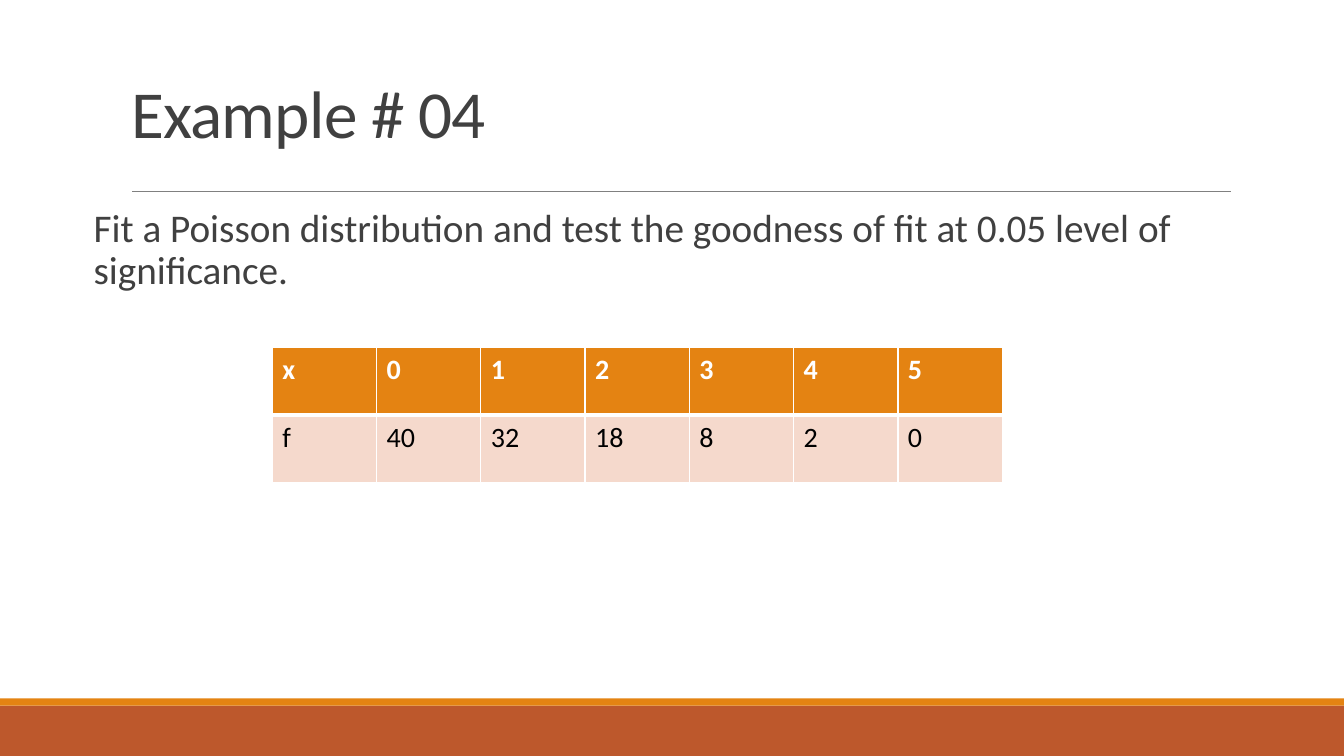
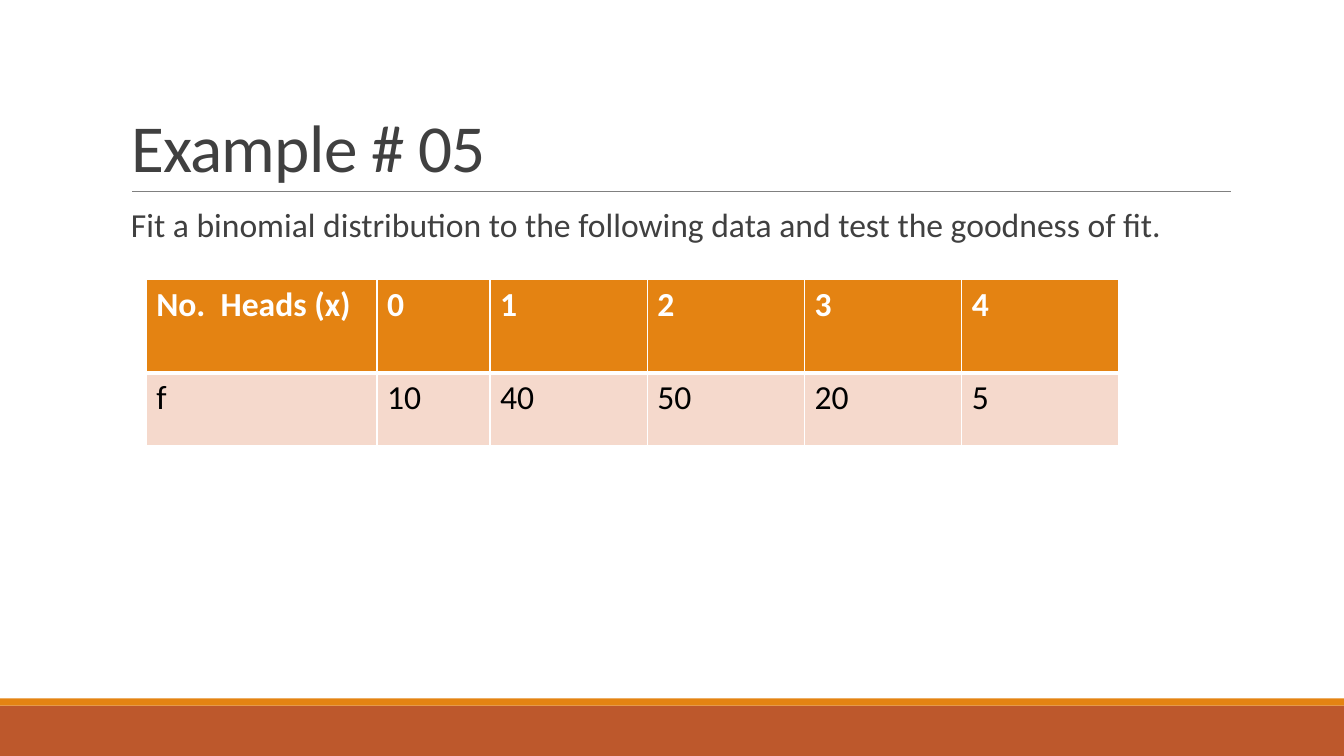
from lxml import etree
from pptx import Presentation
from pptx import util as u
from pptx.dml.color import RGBColor
from pptx.enum import shapes, text
from pptx.oxml import ns

WIDTH, HEIGHT = 13.33, 7.5
TITLE_LEFT, TITLE_TOP, CONTENT_WIDTH = 1.2, 0.31, 11
RULE_Y, BODY_TOP, BODY_HEIGHT = 1.9, 2.02, 4.4
BAND_HEIGHT, STRIPE_HEIGHT = 0.5, 0.07
FONT = "Calibri"
RUST, ORANGE, PINK = "BD582C", "E48312", "F5D9CC"
INK, GREY, WHITE, BLACK = "404040", "808080", "FFFFFF", "000000"


def color(hex_string):
    return RGBColor.from_string(hex_string)


def inches(*lengths):
    return [u.Inches(length) for length in lengths]


def write(frame, words, size, ink=INK, bold=False, line_spacing=None, tracking=None):
    """Put one left-aligned paragraph into a text frame."""
    frame.word_wrap = True
    paragraph = frame.paragraphs[0]
    paragraph.alignment = text.PP_ALIGN.LEFT
    if line_spacing:
        paragraph.line_spacing = line_spacing
    run = paragraph.add_run()
    run.text = words
    run.font.name, run.font.size, run.font.bold = FONT, u.Pt(size), bold
    run.font.color.rgb = color(ink)
    if tracking:
        run.font._element.set("spc", str(int(tracking * 100)))


def add_band(slide, top, height, fill):
    band = slide.shapes.add_shape(
        shapes.MSO_SHAPE.RECTANGLE, *inches(0, top, WIDTH, height))
    band.shadow.inherit = False
    band.fill.solid()
    band.fill.fore_color.rgb = color(fill)
    band.line.fill.background()


def add_frame(slide):
    """Footer bands and the rule below the title."""
    band_top = HEIGHT - BAND_HEIGHT
    add_band(slide, band_top, BAND_HEIGHT, RUST)
    add_band(slide, band_top - STRIPE_HEIGHT, STRIPE_HEIGHT, ORANGE)
    rule = slide.shapes.add_connector(
        shapes.MSO_CONNECTOR.STRAIGHT, *inches(1.31, RULE_Y, 12.21, RULE_Y))
    rule.line.color.rgb = color(GREY)
    rule.line.width = u.Pt(0.5)
    etree.SubElement(rule._element.spPr, ns.qn("a:effectLst"))


def add_title(slide, words, height):
    title = slide.shapes.title
    title.left, title.top, title.width, title.height = inches(
        TITLE_LEFT, TITLE_TOP, CONTENT_WIDTH, height)
    title.text_frame.auto_size = text.MSO_AUTO_SIZE.NONE
    title.text_frame.vertical_anchor = text.MSO_ANCHOR.BOTTOM
    write(title.text_frame, words, 48, line_spacing=0.85, tracking=-0.5)


def add_task(slide, words, left, size):
    width = TITLE_LEFT + CONTENT_WIDTH - left
    task = slide.shapes.add_textbox(*inches(left, BODY_TOP, width, BODY_HEIGHT))
    task.text_frame.margin_right = 0
    write(task.text_frame, words, size, line_spacing=0.9)


def set_borders(cell, **widths):
    """White borders; widths in points by side, 1 unless given."""
    properties = cell._tc.get_or_add_tcPr()
    for side in "LRTB":
        edge = etree.SubElement(properties, ns.qn("a:ln" + side),
                                w=str(u.Pt(widths.get(side, 1))))
        fill = etree.SubElement(edge, ns.qn("a:solidFill"))
        etree.SubElement(fill, ns.qn("a:srgbClr"), val=WHITE)


def add_frequencies(slide, rows, left, top, columns, heights, size):
    table = slide.shapes.add_table(
        len(rows), len(columns),
        *inches(left, top, sum(columns), sum(heights))).table
    for column, width in zip(table.columns, columns):
        column.width = u.Inches(width)
    # Header row, then frequency row, sharing one thick border
    styles = [(ORANGE, WHITE, True, {"B": 3}), (PINK, BLACK, False, {"T": 3})]
    for r, (values, style) in enumerate(zip(rows, styles)):
        fill, ink, bold, borders = style
        table.rows[r].height = u.Inches(heights[r])
        for c, value in enumerate(values):
            cell = table.cell(r, c)
            set_borders(cell, **borders)
            cell.fill.solid()
            cell.fill.fore_color.rgb = color(fill)
            write(cell.text_frame, str(value), size, ink=ink, bold=bold)


def add_example(deck, title, title_height, task, table):
    slide = deck.slides.add_slide(deck.slide_layouts.get_by_name("Title Only"))
    add_frame(slide)
    add_title(slide, title, title_height)
    add_task(slide, **task)
    add_frequencies(slide, **table)


def main():
    deck = Presentation()
    deck.slide_width, deck.slide_height = inches(WIDTH, HEIGHT)

    # Poisson fit
    add_example(
        deck, "Example # 04", 1.25,
        task=dict(words="Fit a Poisson distribution and test the goodness of fit "
                        "at 0.05 level of significance.", left=0.83, size=28),
        table=dict(rows=[["x", 0, 1, 2, 3, 4, 5], ["f", 40, 32, 18, 8, 2, 0]],
                   left=2.7, top=3.45, columns=[7.24 / 7] * 7,
                   heights=[0.67] * 2, size=20))

    # Binomial fit
    add_example(
        deck, "Example # 05", RULE_Y - TITLE_TOP,
        task=dict(words="Fit a binomial distribution to the following data "
                        "and test the goodness of fit.", left=TITLE_LEFT, size=24),
        table=dict(rows=[["No.  Heads (x)", 0, 1, 2, 3, 4],
                         ["f", 10, 40, 50, 20, 5]],
                   left=1.45, top=2.77, columns=[2.29, 1.12] + [1.56] * 4,
                   heights=[0.93, 0.72], size=24))

    deck.save("out.pptx")


if __name__ == "__main__":
    main()
